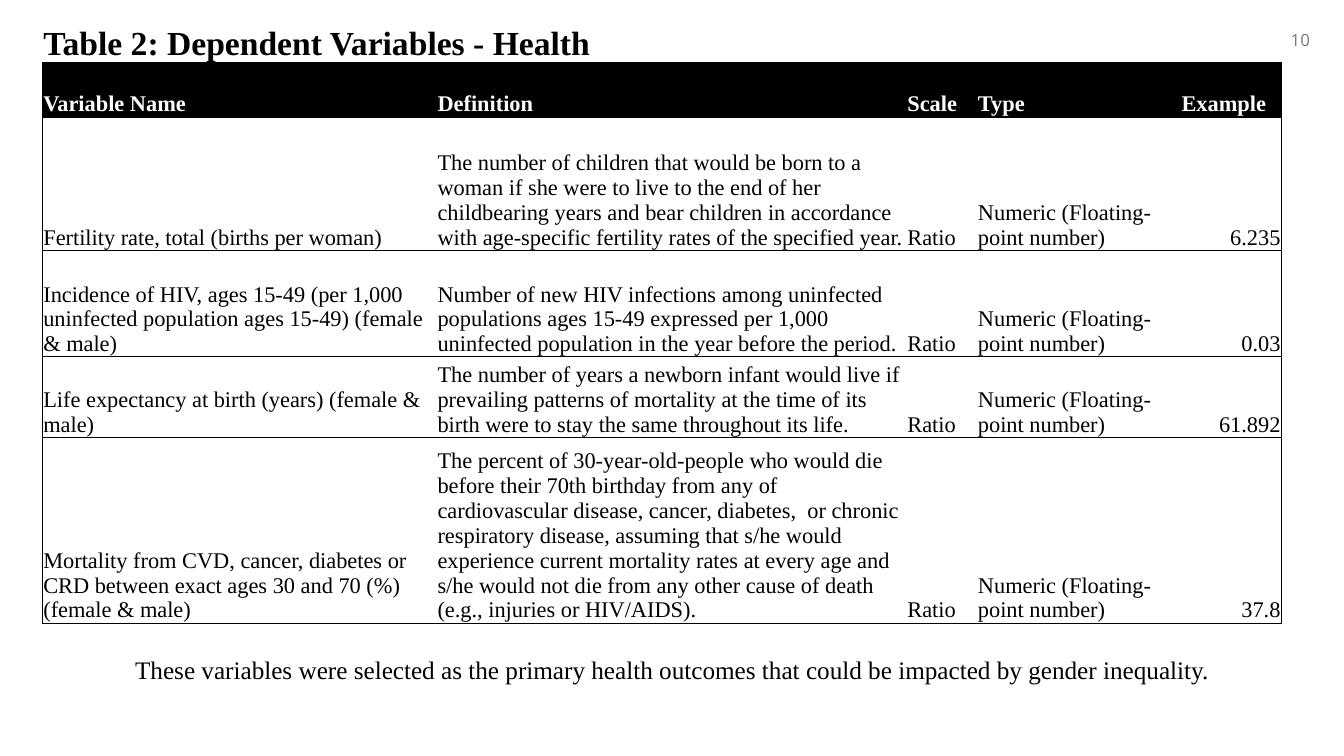
"""Build the slide that lists the health outcome variables in a table."""
from dataclasses import dataclass

import lxml.etree
import pptx
import pptx.dml.color
import pptx.enum.text
import pptx.oxml.ns
import pptx.util

Inches = pptx.util.Inches
Align = pptx.enum.text.PP_ALIGN
Anchor = pptx.enum.text.MSO_ANCHOR

COLORS = {"ink": "000000", "header_text": "FFFFFF", "slide_number": "797979"}
SERIF = "Times New Roman"
COLUMN_WIDTHS = [3.91, 4.66, 0.7, 2.02, 1]
ROW_HEIGHTS = [0.42, 0.54, 1.32, 1.06, 0.8, 1.84]
TITLE = "Table 2: Dependent Variables - Health"
HEADERS = ["Variable Name", "Definition", "Scale", "Type", "Example"]


@dataclass
class Variable:
    """One row of the variable table."""

    name: str
    definition: str
    example: str
    scale: str = "Ratio"
    kind: str = "Numeric (Floating-point number)"

    def texts(self) -> list[str]:
        """Return the cell texts in column order."""
        return [self.name, self.definition, self.scale, self.kind, self.example]


@dataclass
class TextStyle:
    """Look of a paragraph."""

    size: float
    color: str = "ink"
    font: str = SERIF
    bold: bool = False
    align: Align = Align.LEFT


@dataclass
class Caption:
    """A text box with its place in inches."""

    text: str
    box: tuple[float, float, float, float]
    style: TextStyle
    anchor: Anchor = Anchor.TOP


VARIABLES = [
    Variable(
        "Fertility rate, total (births per woman)",
        "The number of children that would be born to a woman if she were to live "
        "to the end of her childbearing years and bear children in accordance with "
        "age-specific fertility rates of the specified year.",
        "6.235",
    ),
    Variable(
        "Incidence of HIV, ages 15-49 (per 1,000 uninfected population ages 15-49) "
        "(female & male)",
        "Number of new HIV infections among uninfected populations ages 15-49 "
        "expressed per 1,000 uninfected population in the year before the period.",
        "0.03",
    ),
    Variable(
        "Life expectancy at birth (years) (female & male)",
        "The number of years a newborn infant would live if prevailing patterns of "
        "mortality at the time of its birth were to stay the same throughout its life.",
        "61.892",
    ),
    Variable(
        "Mortality from CVD, cancer, diabetes or CRD between exact ages 30 and 70 (%) "
        "(female & male)",
        "The percent of 30-year-old-people who would die before their 70th birthday "
        "from any of cardiovascular disease, cancer, diabetes,  or chronic "
        "respiratory disease, assuming that s/he would experience current mortality "
        "rates at every age and s/he would not die from any other cause of death "
        "(e.g., injuries or HIV/AIDS).",
        "37.8",
    ),
]
CAPTIONS = [
    Caption(
        "10",
        (10.09, 0.2, 3, 0.4),
        TextStyle(12, "slide_number", "Open Sans", align=Align.RIGHT),
        Anchor.MIDDLE,
    ),
    Caption(
        "These variables were selected as the primary health outcomes that could be "
        "impacted by gender inequality.",
        (0.55, 6.44, 12.24, 0.4),
        TextStyle(18, align=Align.CENTER),
    ),
]


def rgb(name: str) -> pptx.dml.color.RGBColor:
    """Look up a named colour."""
    return pptx.dml.color.RGBColor.from_string(COLORS[name])


def write(text_frame, text: str, style: TextStyle) -> None:
    """Put one styled paragraph in a text frame."""
    text_frame.word_wrap = True
    paragraph = text_frame.paragraphs[0]
    paragraph.text = text
    paragraph.alignment = style.align
    paragraph.font.size = pptx.util.Pt(style.size)
    paragraph.font.name = style.font
    paragraph.font.bold = style.bold
    paragraph.font.color.rgb = rgb(style.color)


def set_borders(cell, visible: str) -> None:
    """Draw the sides named in visible and hide the others."""
    properties = cell._tc.get_or_add_tcPr()
    qn = pptx.oxml.ns.qn
    for position, side in enumerate("LRTB"):
        line = lxml.etree.Element(qn(f"a:ln{side}"), w=str(pptx.util.Pt(0.5)))
        if side in visible:
            fill = lxml.etree.SubElement(line, qn("a:solidFill"))
            lxml.etree.SubElement(fill, qn("a:srgbClr"), val=COLORS["ink"])
        else:
            lxml.etree.SubElement(line, qn("a:noFill"))
        properties.insert(position, line)


def fill_cell(cell, text: str, style: TextStyle, borders: str, shaded: bool) -> None:
    """Format one table cell."""
    cell.margin_left = cell.margin_right = cell.margin_top = Inches(0.01)
    cell.margin_bottom = 0
    cell.vertical_anchor = Anchor.BOTTOM
    write(cell.text_frame, text, style)
    if shaded:
        cell.fill.solid()
        cell.fill.fore_color.rgb = rgb("ink")
    else:
        cell.fill.background()
    set_borders(cell, borders)


def add_variable_table(slide) -> None:
    """Add the table with its title row, header row and variables."""
    rows = [[TITLE, "", "", "", ""], HEADERS] + [item.texts() for item in VARIABLES]
    last = len(HEADERS) - 1
    frame = slide.shapes.add_table(
        len(rows), len(HEADERS), Inches(0.42), Inches(0.2),
        Inches(sum(COLUMN_WIDTHS)), Inches(sum(ROW_HEIGHTS)),
    )
    table = frame.table
    table.first_row = table.horz_banding = False
    for column, width in zip(table.columns, COLUMN_WIDTHS):
        column.width = Inches(width)
    for row, height in zip(table.rows, ROW_HEIGHTS):
        row.height = Inches(height)
    table.cell(0, 0).merge(table.cell(0, last))
    for row_index, texts in enumerate(rows):
        for column_index, text in enumerate(texts):
            style, borders = TextStyle(16), "TB"
            if row_index == 0:
                style, borders = TextStyle(24, bold=True), "B"
            elif row_index == 1:
                style = TextStyle(16, "header_text", bold=True)
            elif column_index == last:
                style.align = Align.RIGHT
            if row_index > 0:
                borders += {0: "L", last: "R"}.get(column_index, "")
            cell = table.cell(row_index, column_index)
            fill_cell(cell, text, style, borders, row_index == 1)


def add_caption(slide, caption: Caption) -> None:
    """Add a text box."""
    shape = slide.shapes.add_textbox(*map(Inches, caption.box))
    shape.text_frame.vertical_anchor = caption.anchor
    write(shape.text_frame, caption.text, caption.style)


def main() -> None:
    """Create and save the presentation."""
    presentation = pptx.Presentation()
    presentation.slide_width = Inches(13.33)
    presentation.slide_height = Inches(7.5)
    slide = presentation.slides.add_slide(presentation.slide_layouts[6])
    add_variable_table(slide)
    for caption in CAPTIONS:
        add_caption(slide, caption)
    presentation.save("out.pptx")


if __name__ == "__main__":
    main()
